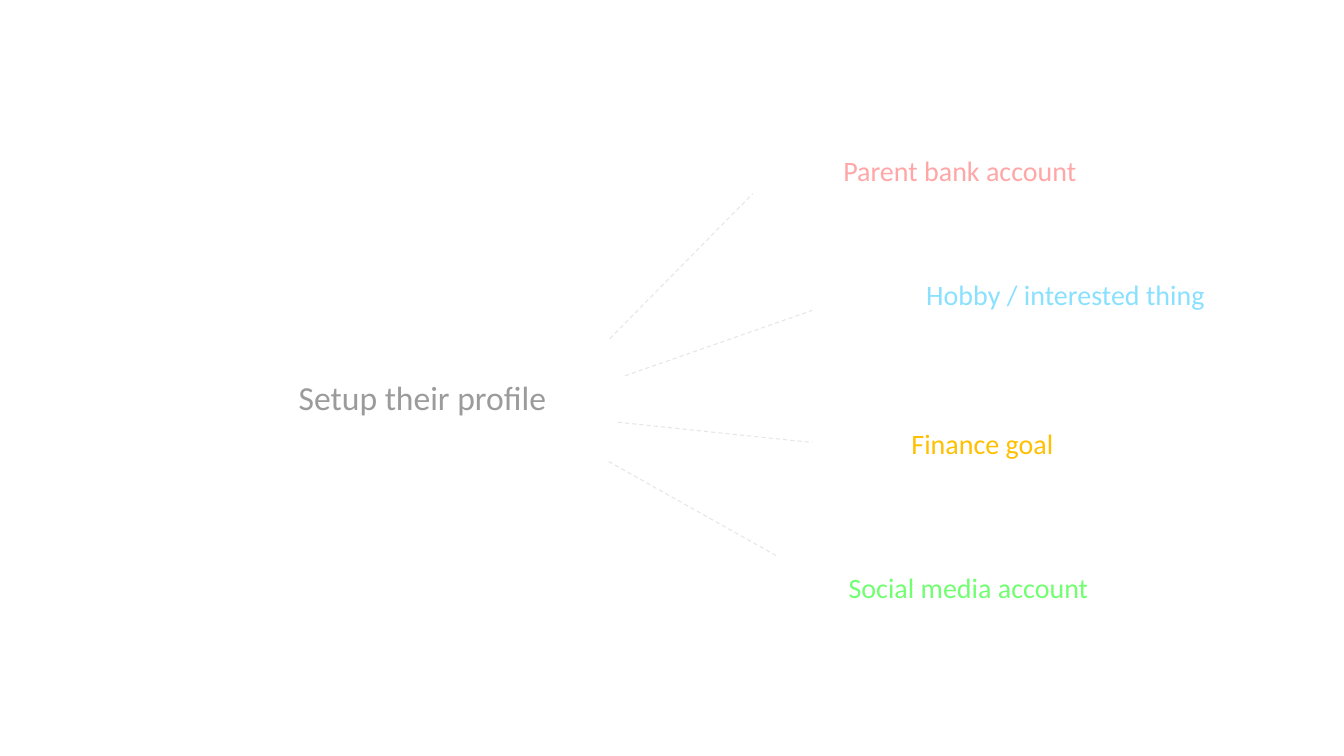
from pptx import Presentation
from pptx.dml.color import RGBColor
from pptx.enum.dml import MSO_LINE
from pptx.enum.shapes import MSO_CONNECTOR
from pptx.enum.text import MSO_ANCHOR, MSO_AUTO_SIZE, PP_ALIGN
from pptx.oxml.xmlchemy import OxmlElement
from pptx.util import Cm, Pt

GRAY = RGBColor(0x9B, 0x9B, 0x9B)
PALE = RGBColor(0xE7, 0xE6, 0xE6)
PINK = RGBColor(0xFF, 0xA7, 0xA7)
BLUE = RGBColor(0x89, 0xE0, 0xFF)
GOLD = RGBColor(0xFF, 0xC0, 0x00)
GREEN = RGBColor(0x71, 0xFF, 0x71)


def write(shape, text, size, color):
    frame = shape.text_frame
    frame.word_wrap = True
    frame.auto_size = MSO_AUTO_SIZE.NONE
    frame.vertical_anchor = MSO_ANCHOR.TOP
    frame.text = text
    line = frame.paragraphs[0]
    line.alignment = PP_ALIGN.RIGHT
    line.line_spacing = 1.5
    line.font.name = "Calibri"
    line.font.size = Pt(size)
    line.font.color.rgb = color


deck = Presentation()
deck.slide_width = Cm(33.87)
deck.slide_height = Cm(19.05)
slide = deck.slides.add_slide(deck.slide_layouts[5])

title = slide.shapes.title
title.left, title.top = Cm(0), Cm(8.86)
title.width, title.height = Cm(14.02), Cm(1.8)
write(title, "Setup their profile", 24, GRAY)

steps = [
    ("Parent bank account", PINK, 11.71, 3.33, (15.37, 8.53, 18.97, 4.88)),
    ("Hobby / interested thing", BLUE, 14.94, 6.45, (15.75, 9.47, 20.47, 7.82)),
    ("Finance goal", GOLD, 11.13, 10.21, (15.57, 10.64, 20.47, 11.15)),
    ("Social media account", GREEN, 12.01, 13.84, (15.34, 11.63, 19.56, 14)),
]

for text, color, left, top, ends in steps:
    link = slide.shapes.add_connector(
        MSO_CONNECTOR.STRAIGHT, *[Cm(end) for end in ends])
    link.line.color.rgb = PALE
    link.line.width = Pt(0.75)
    link.line.dash_style = MSO_LINE.DASH
    link._element.spPr.append(OxmlElement("a:effectLst"))

    label = slide.shapes.add_textbox(Cm(left), Cm(top), Cm(15.67), Cm(1.4))
    write(label, text, 20, color)

deck.save("out.pptx")
